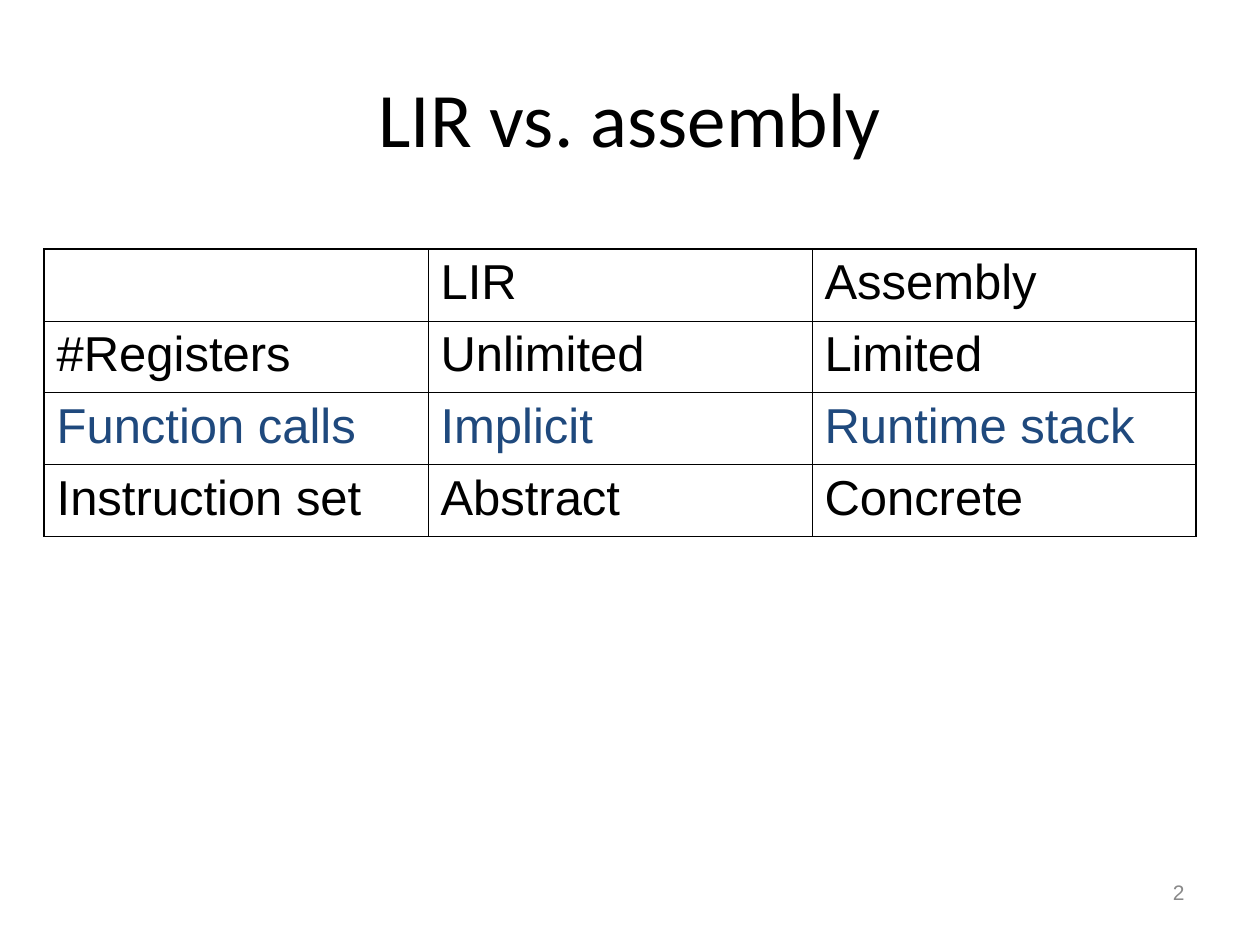
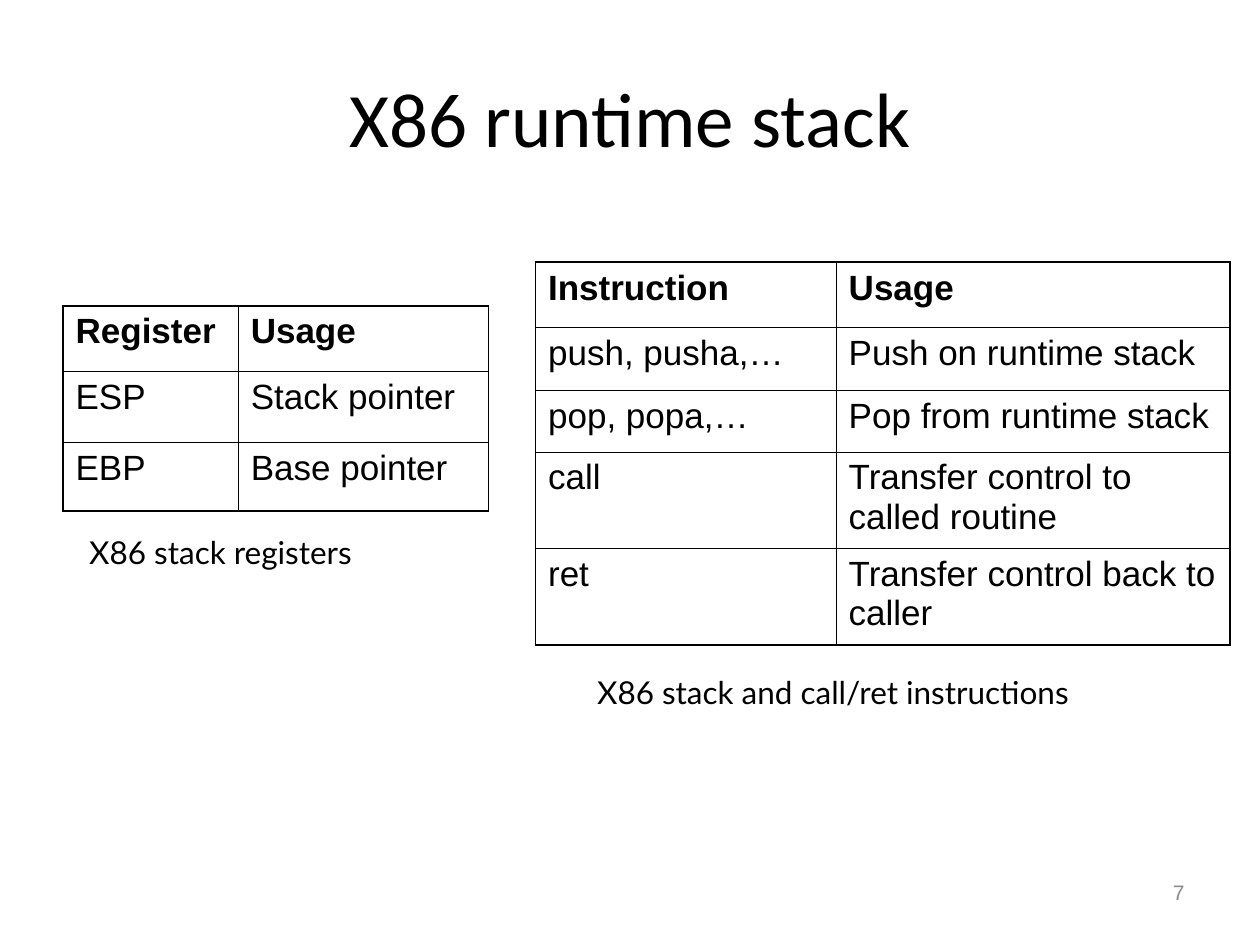
from lxml.etree import SubElement
from pptx import Presentation
from pptx.dml.color import RGBColor
from pptx.enum.text import MSO_ANCHOR, MSO_AUTO_SIZE, PP_ALIGN
from pptx.oxml.ns import qn
from pptx.util import Pt

HUES = {"ink": "000000", "accent": "1F497D", "page": "898989"}

FONTS = {
    "title": {"name": "Calibri", "size": Pt(44)},
    "large": {"name": "Arial", "size": Pt(28), "bold": False},
    "head": {"name": "Arial", "size": Pt(20), "bold": True},
    "cell": {"name": "Arial", "size": Pt(20), "bold": False},
    "note": {"name": "Lato", "size": Pt(18)},
    "page": {"name": "Arial", "size": Pt(12)},
}
FRAMES = {
    "title": {"vertical_anchor": MSO_ANCHOR.MIDDLE, "word_wrap": True},
    "page": {"vertical_anchor": MSO_ANCHOR.MIDDLE, "word_wrap": True},
    "note": {"word_wrap": False, "auto_size": MSO_AUTO_SIZE.SHAPE_TO_FIT_TEXT},
}
ALIGNS = {"title": PP_ALIGN.CENTER, "page": PP_ALIGN.RIGHT}
PLAIN = {"first_row": False, "horz_banding": False}
BOXES = {"title": (36, 21.6, 648, 90), "page": (516.25, 492, 167.75, 36)}
THICK, THIN = 1.08, 0.45

SLIDES = [
    {
        "title": "LIR vs. assembly",
        "page": "2",
        "tables": [
            {
                "at": (25.2, 142.3),
                "cols": [219.4] * 3,
                "rows": [41.1] * 4,
                "fonts": ("large", "large"),
                "accent": 2,
                "cells": [
                    ("", "LIR", "Assembly"),
                    ("#Registers", "Unlimited", "Limited"),
                    ("Function calls", "Implicit", "Runtime stack"),
                    ("Instruction set", "Abstract", "Concrete"),
                ],
            },
        ],
        "notes": [],
    },
    {
        "title": "X86 runtime stack",
        "page": "7",
        "tables": [
            {
                "at": (36, 174.8),
                "cols": [100.1, 143],
                "rows": [37.5, 40.6, 39.2],
                "fonts": ("head", "cell"),
                "cells": [
                    ("Register", "Usage"),
                    ("ESP", "Stack pointer"),
                    ("EBP", "Base pointer"),
                ],
            },
            {
                "at": (306, 149.8),
                "cols": [171.8, 225],
                "rows": [37.5, 36, 35, 55.2, 55.2],
                "fonts": ("head", "cell"),
                "cells": [
                    ("Instruction", "Usage"),
                    ("push, pusha,…", "Push on runtime stack"),
                    ("pop, popa,…", "Pop from runtime stack"),
                    ("call", "Transfer control to called routine"),
                    ("ret", "Transfer control back to caller"),
                ],
            },
        ],
        "notes": [
            ("X86 stack registers", (43.9, 301, 172.8, 28.8)),
            ("X86 stack and call/ret instructions", (334.1, 381, 298.8, 28.8)),
        ],
    },
]


def apply(obj, style):
    for key, val in style.items():
        setattr(obj, key, val)


def write(frame, text, kind, hue="ink"):
    para = frame.paragraphs[0]
    run = para.add_run()
    run.text = text
    apply(run.font, FONTS[kind])
    run.font.color.rgb = RGBColor.from_string(HUES[hue])
    para.alignment = ALIGNS.get(kind, PP_ALIGN.LEFT)


def label(slide, text, kind, box, hue="ink"):
    frame = slide.shapes.add_textbox(*map(Pt, box)).text_frame
    apply(frame, FRAMES[kind])
    write(frame, text, kind, hue)


def border(cell, edges):
    props = cell._tc.get_or_add_tcPr()
    for side, outer in edges.items():
        width = THICK if outer else THIN
        line = SubElement(props, qn(f"a:ln{side}"), w=str(int(Pt(width))))
        fill = SubElement(line, qn("a:solidFill"))
        SubElement(fill, qn("a:srgbClr"), val=HUES["ink"])


def grid(slide, data):
    cols, rows = data["cols"], data["rows"]
    box = (*data["at"], sum(cols), sum(rows))
    table = slide.shapes.add_table(len(rows), len(cols), *map(Pt, box)).table
    apply(table, PLAIN)
    for col, width in zip(table.columns, cols):
        col.width = Pt(width)
    for r, (row, height) in enumerate(zip(table.rows, rows)):
        row.height = Pt(height)
        hue = "accent" if r == data.get("accent") else "ink"
        for c, text in enumerate(data["cells"][r]):
            cell = table.cell(r, c)
            if text:
                write(cell.text_frame, text, data["fonts"][r > 0], hue)
            border(cell, {
                "L": c == 0,
                "R": c == len(cols) - 1,
                "T": r == 0,
                "B": r == len(rows) - 1,
            })
            cell.fill.background()


def build(deck, data):
    slide = deck.slides.add_slide(deck.slide_layouts[5])
    title = slide.shapes.title
    apply(title, dict(zip(("left", "top", "width", "height"), map(Pt, BOXES["title"]))))
    apply(title.text_frame, FRAMES["title"])
    write(title.text_frame, data["title"], "title")
    for table in data["tables"]:
        grid(slide, table)
    for text, box in data["notes"]:
        label(slide, text, "note", box)
    label(slide, data["page"], "page", BOXES["page"], "page")


def main():
    deck = Presentation()
    apply(deck, {"slide_width": Pt(720), "slide_height": Pt(540)})
    for data in SLIDES:
        build(deck, data)
    deck.save("out.pptx")


if __name__ == "__main__":
    main()
